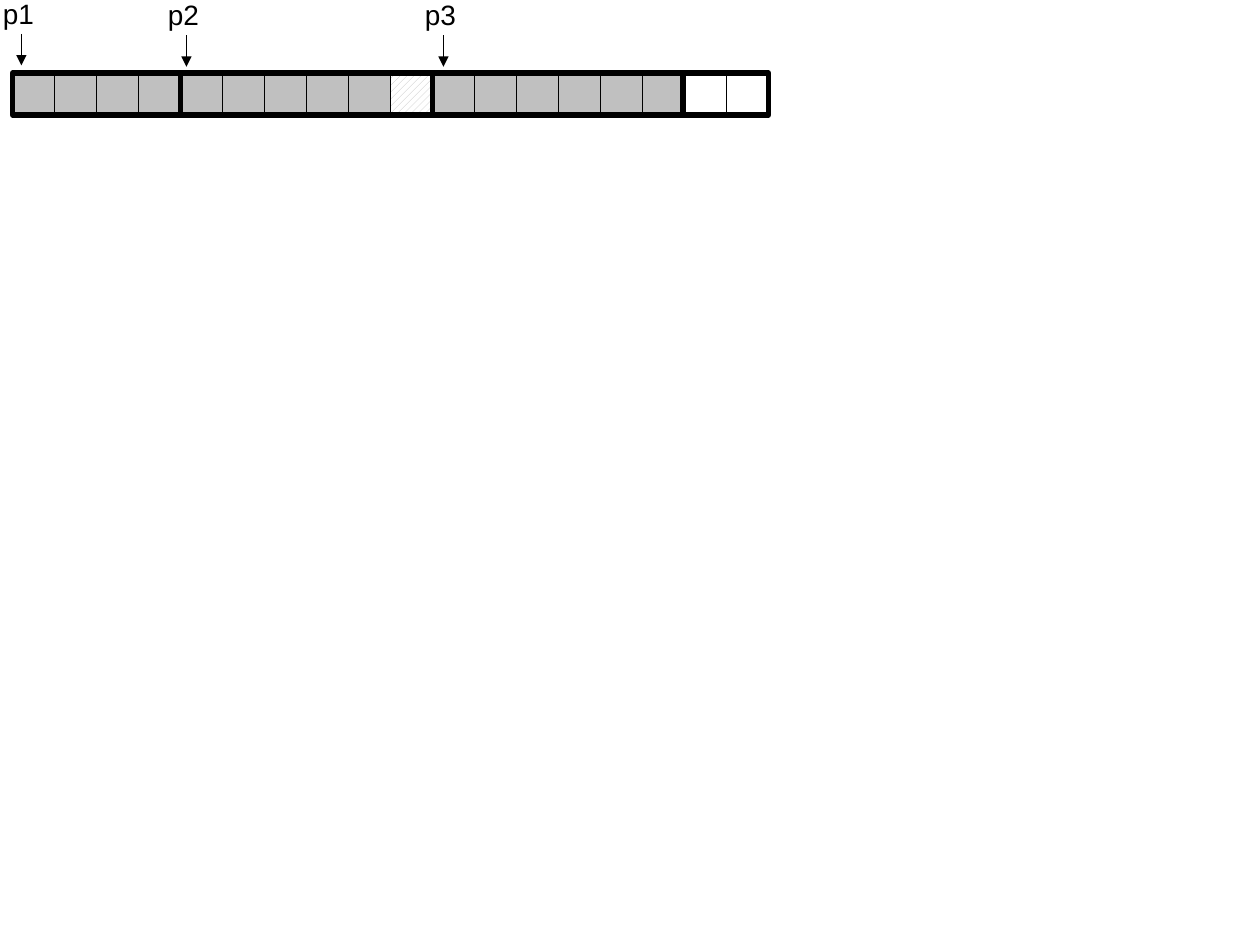
"""Draw a row of memory cells grouped into blocks with pointers p1, p2 and p3."""
import pptx
import pptx.dml.color
import pptx.enum.dml
import pptx.enum.shapes
import pptx.enum.text
import pptx.oxml.ns
import pptx.util
from lxml import etree
from pptx.util import Inches


class Theme:
    black = pptx.dml.color.RGBColor(0x00, 0x00, 0x00)
    white = pptx.dml.color.RGBColor(0xFF, 0xFF, 0xFF)
    gray = pptx.dml.color.RGBColor(0xC0, 0xC0, 0xC0)
    font = "Arial"
    label_size = pptx.util.Pt(16)
    thin = pptx.util.Pt(0.25)
    arrow = pptx.util.Pt(1)
    thick = pptx.util.Pt(3)


def add_rectangle(slide, left, top, width, height, line_width):
    shape = slide.shapes.add_shape(
        pptx.enum.shapes.MSO_SHAPE.RECTANGLE,
        Inches(left), Inches(top), Inches(width), Inches(height))
    shape.shadow.inherit = False
    shape.fill.background()
    shape.line.color.rgb = Theme.black
    shape.line.width = line_width
    return shape


def add_vertical_line(slide, x, top, bottom, line_width):
    connector = slide.shapes.add_connector(
        pptx.enum.shapes.MSO_CONNECTOR.STRAIGHT,
        Inches(x), Inches(top), Inches(x), Inches(bottom))
    connector.line.color.rgb = Theme.black
    connector.line.width = line_width
    properties = connector._element.spPr
    etree.SubElement(properties, pptx.oxml.ns.qn("a:effectLst"))
    return connector


presentation = pptx.Presentation()
presentation.slide_width = Inches(10)
presentation.slide_height = Inches(7.5)
slide = presentation.slides.add_slide(presentation.slide_layouts[6])

row_left = 0.1
cell_size = 1 / 3
cell_top = 0.57
frame_top = 0.58
used_cells = 16
total_cells = 18
padding_cell = 9

for index in range(total_cells):
    cell = add_rectangle(slide, row_left + index * cell_size, cell_top,
                         cell_size, cell_size, Theme.thin)
    if index == padding_cell:
        cell.fill.patterned()
        cell.fill.pattern = pptx.enum.dml.MSO_PATTERN.WIDE_UPWARD_DIAGONAL
        cell.fill.fore_color.rgb = Theme.gray
        cell.fill.back_color.rgb = Theme.white
    else:
        cell.fill.solid()
        cell.fill.fore_color.rgb = Theme.gray if index < used_cells else Theme.white

for name, label_left, label_top, arrow_x, arrow_top in [
        ("p1", -0.08, -0.08, 0.17, 0.27),
        ("p2", 1.23, -0.07, 1.48, 0.28),
        ("p3", 3.27, -0.07, 3.52, 0.28)]:
    label = slide.shapes.add_textbox(
        Inches(label_left), Inches(label_top), Inches(0.45), Inches(0.37))
    frame = label.text_frame
    frame.word_wrap = False
    frame.auto_size = pptx.enum.text.MSO_AUTO_SIZE.SHAPE_TO_FIT_TEXT
    frame.vertical_anchor = pptx.enum.text.MSO_ANCHOR.MIDDLE
    paragraph = frame.paragraphs[0]
    paragraph.alignment = pptx.enum.text.PP_ALIGN.CENTER
    run = paragraph.add_run()
    run.text = name
    run.font.name = Theme.font
    run.font.size = Theme.label_size
    run.font.color.rgb = Theme.black

    arrow = add_vertical_line(slide, arrow_x, arrow_top, arrow_top + 0.25, Theme.arrow)
    etree.SubElement(arrow.line._get_or_add_ln(),
                     pptx.oxml.ns.qn("a:tailEnd"), type="triangle")

for first_cell, cell_count in [(0, 4), (4, 6), (10, 8)]:
    add_rectangle(slide, row_left + first_cell * cell_size, frame_top,
                  cell_count * cell_size, cell_size, Theme.thick)

add_vertical_line(slide, 5.42, frame_top, frame_top + cell_size, Theme.thick)

presentation.save("out.pptx")
